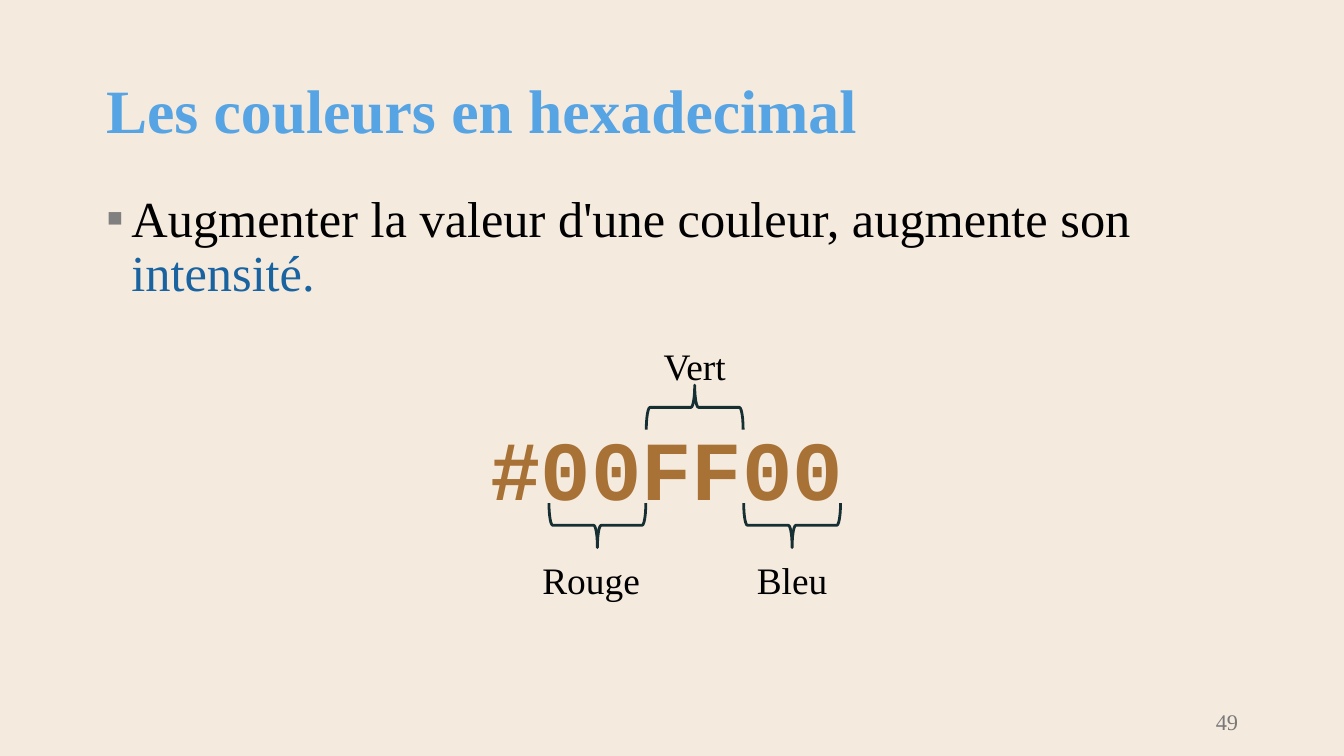
"""Build the slide explaining the three channels of a hexadecimal colour."""
import pptx
import pptx.dml.color
import pptx.enum.shapes
import pptx.enum.text
import pptx.oxml
import pptx.oxml.ns
import pptx.util
from dataclasses import dataclass

Cm = pptx.util.Cm
Pt = pptx.util.Pt
ALIGN = pptx.enum.text.PP_ALIGN
ANCHOR = pptx.enum.text.MSO_ANCHOR

TITLE = "Les couleurs en hexadecimal"
SENTENCE = [
    ("Augmenter la valeur d'une couleur, augmente son ", "text"),
    ("intensité.", "accent"),
]
HEX_CODE = "#00FF00"
CHANNELS = [
    ("Rouge", "below", ALIGN.LEFT),
    ("Vert", "above", ALIGN.CENTER),
    ("Bleu", "below", ALIGN.CENTER),
]
PAGE_NUMBER = "49"


@dataclass(frozen=True)
class Theme:
    serif = "Times New Roman"
    mono = "Courier New"
    colors = {
        "background": "F5EADE", "title": "56A4E4", "text": "000000",
        "accent": "1963A1", "bullet": "808080", "code": "A87236",
        "brace": "162F33", "number": "797979",
    }
    sizes = {"title": 33, "body": 27, "code": 45, "label": 20, "number": 12}

    def color(self, role):
        return pptx.dml.color.RGBColor.from_string(self.colors[role])


THEME = Theme()
FIRST_CENTER, CHANNEL_STEP = 11.29, 1.84
BRACE_WIDTH, BRACE_HEIGHT = 0.84, 1.83
LABEL_WIDTH, LABEL_HEIGHT = 2.44, 0.97
SIDES = {
    "below": {"brace_center": 9.93, "rotation": 90, "label_top": 10.36},
    "above": {"brace_center": 7.7, "rotation": 270, "label_top": 6.3},
}


def place(shape, left, top, width, height):
    shape.left, shape.top = Cm(left), Cm(top)
    shape.width, shape.height = Cm(width), Cm(height)


def style(paragraph, size, color, align=ALIGN.LEFT, face=THEME.serif, bold=False):
    paragraph.alignment = align
    font = paragraph.font
    font.name, font.size, font.bold = face, Pt(THEME.sizes[size]), bold
    font.color.rgb = THEME.color(color)


def add_text(slide, text, box, inset=0.18, anchor=ANCHOR.TOP, **look):
    textbox = slide.shapes.add_textbox(*map(Cm, box))
    frame = textbox.text_frame
    frame.word_wrap = True
    frame.vertical_anchor = anchor
    frame.margin_left = frame.margin_right = Cm(inset)
    frame.margin_top = frame.margin_bottom = Cm(inset)
    frame.text = text
    style(frame.paragraphs[0], **look)


def add_square_bullet(paragraph):
    properties = paragraph._p.get_or_add_pPr()
    properties.set("marL", str(Cm(0.48)))
    properties.set("indent", str(Cm(-0.48)))
    namespace = pptx.oxml.ns.nsdecls("a")
    for element in (
        f'<a:buClr {namespace}><a:srgbClr val="{THEME.colors["bullet"]}"/></a:buClr>',
        f'<a:buFont {namespace} typeface="{THEME.serif}"/>',
        f'<a:buChar {namespace} char="▪"/>',
    ):
        properties.append(pptx.oxml.parse_xml(element))


def fill_title(title):
    place(title, 1.75, 0.76, 21.9, 2.77)
    frame = title.text_frame
    frame.text = TITLE
    frame.auto_size = pptx.enum.text.MSO_AUTO_SIZE.NONE
    frame.vertical_anchor = ANCHOR.MIDDLE
    frame.paragraphs[0].line_spacing = 0.9
    style(frame.paragraphs[0], "title", "title", bold=True)


def fill_body(body):
    place(body, 1.75, 3.53, 21.9, 9.35)
    frame = body.text_frame
    frame.auto_size = pptx.enum.text.MSO_AUTO_SIZE.NONE
    sentence = frame.paragraphs[0]
    sentence.line_spacing = 0.9
    sentence.space_before = Pt(0)
    add_square_bullet(sentence)
    style(sentence, "body", "text")
    for words, color in SENTENCE:
        run = sentence.add_run()
        run.text = words
        run.font.color.rgb = THEME.color(color)


def add_channel(slide, index, name, side, align):
    center = FIRST_CENTER + index * CHANNEL_STEP
    spot = SIDES[side]
    brace = slide.shapes.add_shape(
        pptx.enum.shapes.MSO_SHAPE.RIGHT_BRACE,
        Cm(center - BRACE_WIDTH / 2), Cm(spot["brace_center"] - BRACE_HEIGHT / 2),
        Cm(BRACE_WIDTH), Cm(BRACE_HEIGHT))
    brace.rotation = spot["rotation"]
    brace.shadow.inherit = False
    brace.fill.background()
    brace.line.color.rgb = THEME.color("brace")
    brace.line.width = Pt(1.5)
    add_text(slide, name,
             (center - LABEL_WIDTH / 2, spot["label_top"], LABEL_WIDTH, LABEL_HEIGHT),
             size="label", color="text", align=align)


def main():
    deck = pptx.Presentation()
    deck.slide_width, deck.slide_height = Cm(25.4), Cm(14.29)
    slide = deck.slides.add_slide(deck.slide_layouts[1])
    slide.background.fill.solid()
    slide.background.fill.fore_color.rgb = THEME.color("background")
    fill_title(slide.shapes.title)
    fill_body(slide.placeholders[1])
    add_text(slide, HEX_CODE, (7.24, 7.7, 10.72, 1.63), size="code", color="code",
             align=ALIGN.CENTER, face=THEME.mono, bold=True)
    for index, channel in enumerate(CHANNELS):
        add_channel(slide, index, *channel)
    add_text(slide, PAGE_NUMBER, (17.93, 13.26, 5.72, 0.76), inset=0.25,
             anchor=ANCHOR.MIDDLE, size="number", color="number", align=ALIGN.RIGHT)
    deck.save("out.pptx")


if __name__ == "__main__":
    main()
